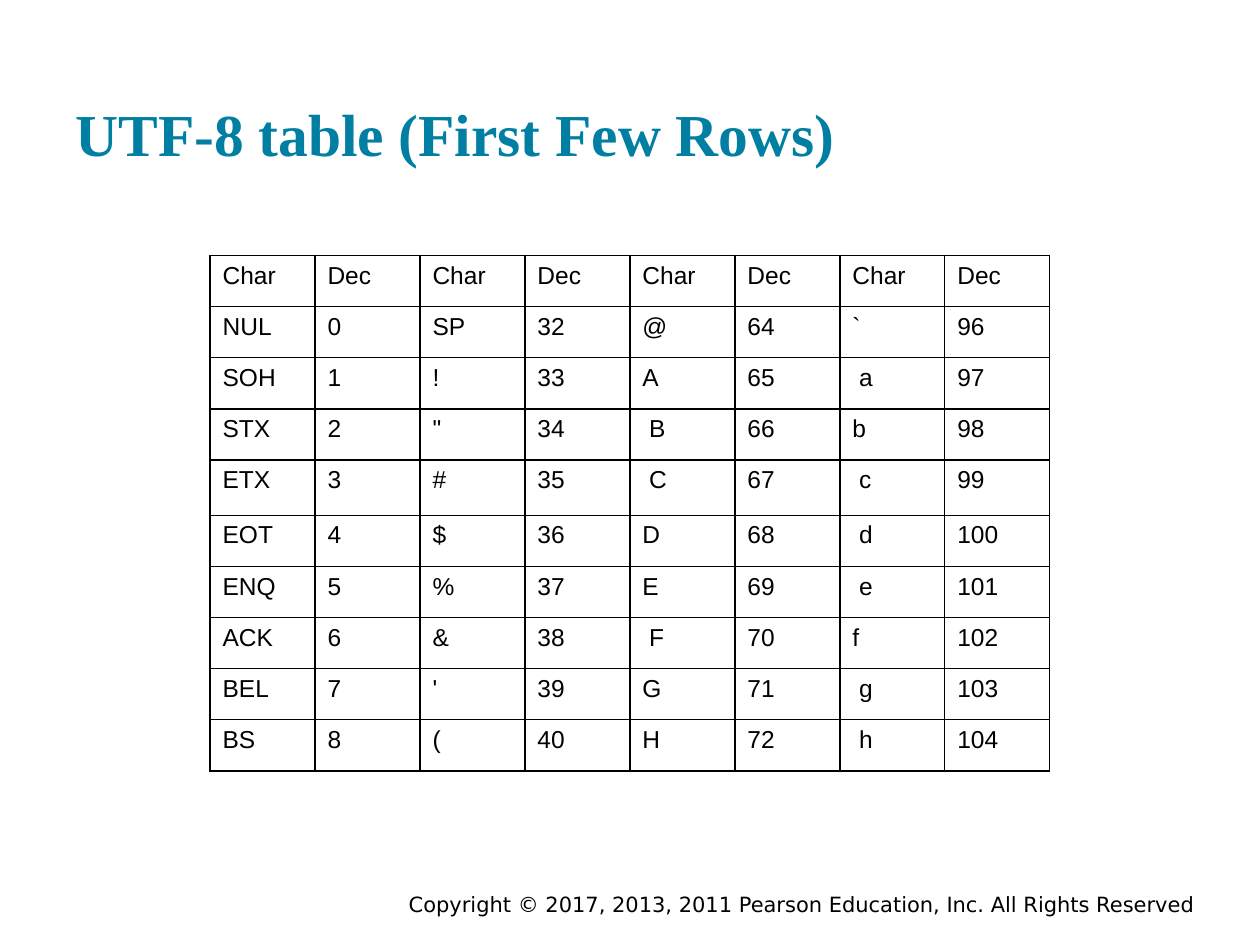
from lxml import etree
from pptx import Presentation
from pptx.dml.color import RGBColor
from pptx.enum import text
from pptx.oxml import ns
from pptx.util import Pt

COLORS = {"title": "007FA3", "ink": "000000"}
CHAR_COLUMNS = [
    ["NUL", "SOH", "STX", "ETX", "EOT", "ENQ", "ACK", "BEL", "BS"],
    list("SP".split()) + list("!\"#$%&'("),
    list("@ABCDEFGH"),
    list("`abcdefgh"),
]
INDENTED = set("BCFacdegh")
CODES_PER_COLUMN = 32
ROW_HEIGHT, TALL_ROW_HEIGHT, TALL_ROW = 29.2, 31.7, 4
CELL_MARGIN, CELL_INDENT = 7.2, 3.9


def style(p, name, size, color, bold=False):
    p.font.name, p.font.size, p.font.bold = name, Pt(size), bold
    p.font.color.rgb = RGBColor.from_string(COLORS[color])


def place(shape, left, top, width, height):
    shape.left, shape.top = Pt(left), Pt(top)
    shape.width, shape.height = Pt(width), Pt(height)


def add_title(s, box):
    title = s.shapes.title
    place(title, *box)
    tf = title.text_frame
    tf.auto_size = text.MSO_AUTO_SIZE.NONE
    tf.vertical_anchor = text.MSO_ANCHOR.BOTTOM
    tf.margin_left = tf.margin_right = tf.margin_top = tf.margin_bottom = Pt(7.2)
    p = tf.paragraphs[0]
    p.text = "UTF-8 table (First Few Rows)"
    p.alignment = text.PP_ALIGN.LEFT
    style(p, "Times New Roman", 34, "title", bold=True)


def add_borders(cell):
    tc_pr = cell._tc.get_or_add_tcPr()
    for side in ("lnL", "lnR", "lnT", "lnB"):
        ln = etree.SubElement(tc_pr, ns.qn(f"a:{side}"), w=str(Pt(1)))
        fill = etree.SubElement(ln, ns.qn("a:solidFill"))
        etree.SubElement(fill, ns.qn("a:srgbClr"), val=COLORS["ink"])


def table_rows():
    """Header row, then each character beside its decimal code."""
    yield ["Char", "Dec"] * len(CHAR_COLUMNS)
    for row, chars in enumerate(zip(*CHAR_COLUMNS)):
        yield [value for col, char in enumerate(chars)
               for value in (char, str(col * CODES_PER_COLUMN + row))]


def add_code_table(s, left, top, width):
    rows = list(table_rows())
    n_cols = len(rows[0])
    heights = [TALL_ROW_HEIGHT if i == TALL_ROW else ROW_HEIGHT
               for i in range(len(rows))]
    table = s.shapes.add_table(len(rows), n_cols, Pt(left), Pt(top),
                               Pt(width), Pt(sum(heights))).table
    table.first_row = table.horz_banding = False
    for column in table.columns:
        column.width = Pt(width / n_cols)
    for row, height, values in zip(table.rows, heights, rows):
        row.height = Pt(height)
        for cell, value in zip(row.cells, values):
            add_borders(cell)
            cell.fill.background()
            indent = CELL_INDENT if value in INDENTED else 0
            cell.margin_left = Pt(CELL_MARGIN + indent)
            p = cell.text_frame.paragraphs[0]
            p.text = value
            style(p, "Arial", 14, "ink")


def add_copyright(s, box):
    tf = s.shapes.add_textbox(*map(Pt, box)).text_frame
    tf.word_wrap = True
    p = tf.paragraphs[0]
    p.text = ("Copyright © 2017, 2013, 2011 Pearson Education, Inc. "
              "All Rights Reserved")
    p.alignment = text.PP_ALIGN.RIGHT
    style(p, "DejaVu Sans", 12, "ink")


def main():
    prs = Presentation()
    prs.slide_width, prs.slide_height = Pt(720), Pt(540)
    s = prs.slides.add_slide(prs.slide_layouts.get_by_name("Title Only"))
    add_copyright(s, (126, 506, 564, 16))
    add_title(s, (36, 17.3, 648, 86.4))
    add_code_table(s, 120, 146, 480)
    prs.save("out.pptx")


if __name__ == "__main__":
    main()
